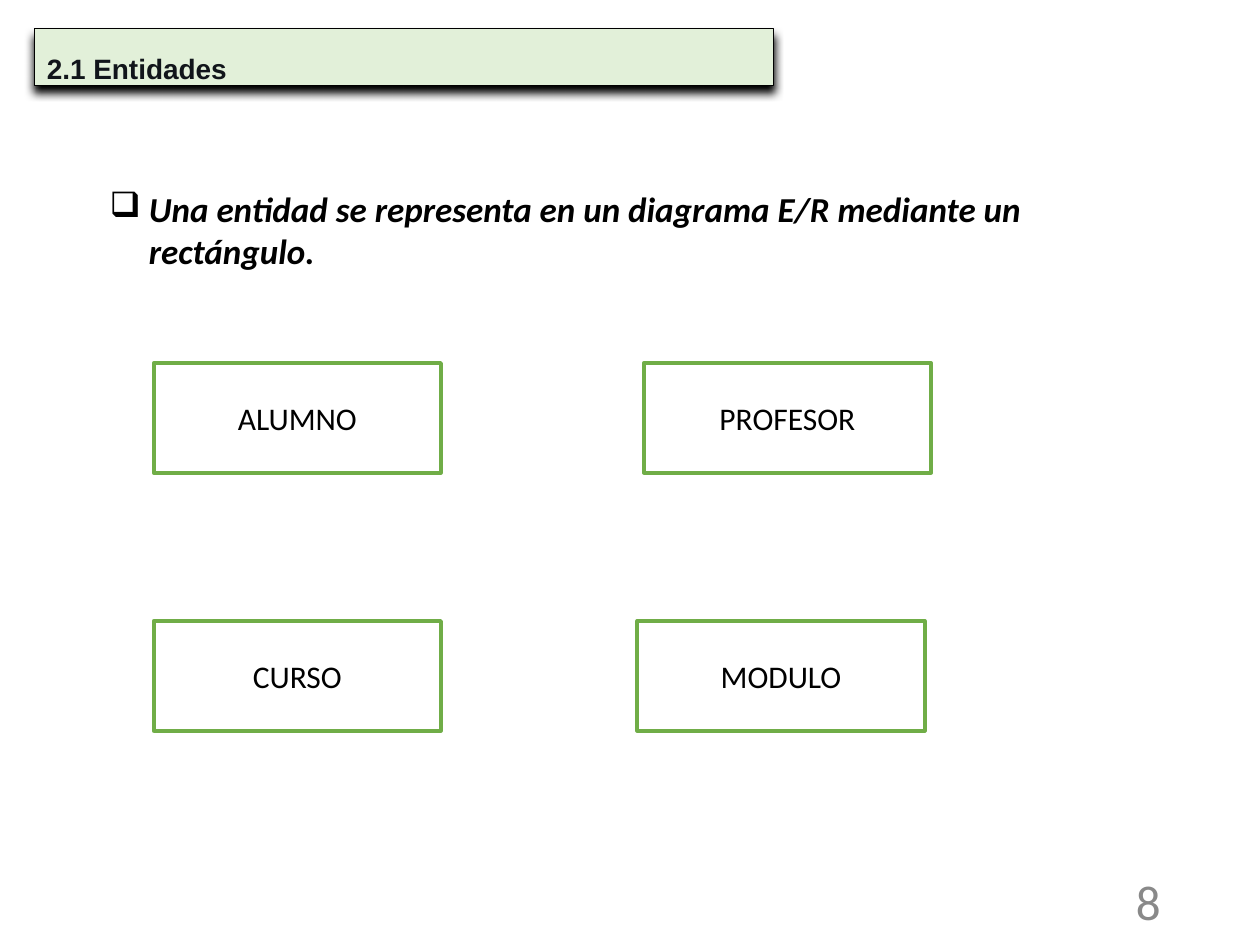
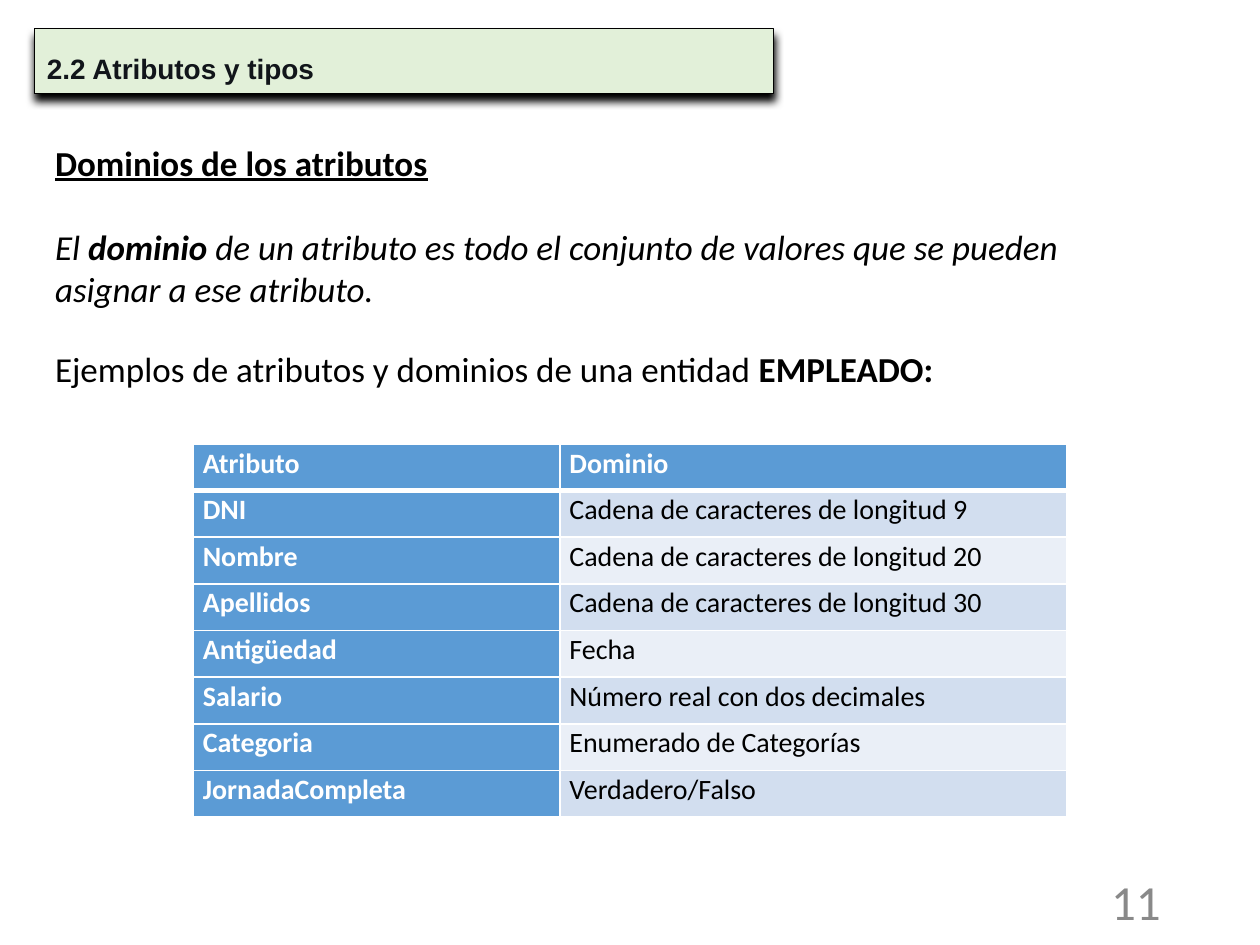
from lxml import etree
from pptx import Presentation
from pptx.dml.color import RGBColor
from pptx.enum.shapes import MSO_SHAPE
from pptx.enum.text import MSO_ANCHOR, MSO_AUTO_SIZE, PP_ALIGN
from pptx.oxml.ns import qn
from pptx.util import Cm, Pt

RECT = MSO_SHAPE.RECTANGLE
TOP, MIDDLE = MSO_ANCHOR.TOP, MSO_ANCHOR.MIDDLE
NO_FIT = MSO_AUTO_SIZE.NONE
LEFT, CENTER, RIGHT, JUSTIFY = (
    PP_ALIGN.LEFT, PP_ALIGN.CENTER, PP_ALIGN.RIGHT, PP_ALIGN.JUSTIFY)

BLACK = RGBColor(0x00, 0x00, 0x00)
WHITE = RGBColor(0xFF, 0xFF, 0xFF)
INK = RGBColor(0x11, 0x15, 0x1A)
GRAY = RGBColor(0x89, 0x89, 0x89)
PALE_GREEN = RGBColor(0xE2, 0xF0, 0xD9)
GREEN = RGBColor(0x70, 0xAD, 0x47)
BLUE = RGBColor(0x5B, 0x9B, 0xD5)
BANDS = [RGBColor(0xD2, 0xDE, 0xEF), RGBColor(0xEA, 0xEF, 0xF7)]

TITLE_ONLY = 5

ENTITIES = [
    ("ALUMNO", 3.1, 7.32),
    ("PROFESOR", 12.98, 7.32),
    ("CURSO", 3.1, 12.52),
    ("MODULO", 12.85, 12.52),
]
DOMAINS = [
    ("Atributo", "Dominio"),
    ("DNI", "Cadena de caracteres de longitud 9"),
    ("Nombre", "Cadena de caracteres de longitud 20"),
    ("Apellidos", "Cadena de caracteres de longitud 30"),
    ("Antigüedad", "Fecha"),
    ("Salario", "Número real con dos decimales"),
    ("Categoria", "Enumerado de Categorías"),
    ("JornadaCompleta", "Verdadero/Falso"),
]


def add_run(p, text, size=20, font="Calibri", color=BLACK, bold=False,
            italic=False, underline=False):
    r = p.add_run()
    r.text = text
    r.font.size = Pt(size)
    r.font.name = font
    r.font.color.rgb = color
    r.font.bold = bold
    r.font.italic = italic
    r.font.underline = underline


def add_box(slide, x, y, w, h, anchor=TOP):
    tf = slide.shapes.add_textbox(Cm(x), Cm(y), Cm(w), Cm(h)).text_frame
    tf.word_wrap = True
    tf.vertical_anchor = anchor
    return tf


def add_shadow(sp):
    effects = etree.SubElement(sp._element.spPr, qn("a:effectLst"))
    shadow = etree.SubElement(effects, qn("a:outerShdw"), blurRad=str(Pt(5)),
                              dist=str(Pt(4)), dir="5400000", rotWithShape="0")
    etree.SubElement(shadow, qn("a:srgbClr"), val=str(BLACK))


def add_bullet(p, char, indent):
    pPr = p._p.get_or_add_pPr()
    pPr.set("marL", str(Cm(indent)))
    pPr.set("indent", str(-Cm(indent)))
    color = etree.SubElement(pPr, qn("a:buClr"))
    etree.SubElement(color, qn("a:srgbClr"), val=str(BLACK))
    etree.SubElement(pPr, qn("a:buChar"), char=char)


def add_titled_slide(prs, title, number, title_height):
    slide = prs.slides.add_slide(prs.slide_layouts[TITLE_ONLY])
    sp = slide.shapes.title
    sp.left, sp.top = Cm(0.69), Cm(0.58)
    sp.width, sp.height = Cm(14.91), Cm(title_height)
    sp.fill.solid()
    sp.fill.fore_color.rgb = PALE_GREEN
    sp.line.color.rgb = BLACK
    sp.line.width = Pt(0.75)
    add_shadow(sp)
    tf = sp.text_frame
    tf.auto_size = NO_FIT
    tf.vertical_anchor = TOP
    p = tf.paragraphs[0]
    p.alignment = LEFT
    p.line_spacing = 1.5
    add_run(p, title, size=16, font="Arial", color=INK, bold=True)

    p = add_box(slide, 17.93, 17.65, 5.72, 1.02, MIDDLE).paragraphs[0]
    p.alignment = RIGHT
    add_run(p, number, size=28, color=GRAY)
    return slide


def add_entity(slide, name, x, y):
    sp = slide.shapes.add_shape(RECT, Cm(x), Cm(y), Cm(5.79), Cm(2.21))
    sp.shadow.inherit = False
    sp.fill.solid()
    sp.fill.fore_color.rgb = WHITE
    sp.line.color.rgb = GREEN
    sp.line.width = Pt(2.25)
    sp.text_frame.vertical_anchor = MIDDLE
    p = sp.text_frame.paragraphs[0]
    p.alignment = CENTER
    add_run(p, name, size=18)


def set_borders(cell, top, bottom):
    tcPr = cell._tc.get_or_add_tcPr()
    for side, width in (("L", 1), ("R", 1), ("T", top), ("B", bottom)):
        ln = etree.SubElement(tcPr, qn(f"a:ln{side}"), w=str(Pt(width)))
        fill = etree.SubElement(ln, qn("a:solidFill"))
        etree.SubElement(fill, qn("a:srgbClr"), val=str(WHITE))


def add_domain_table(slide, rows, x, y, widths, row_height):
    table = slide.shapes.add_table(
        len(rows), len(widths), Cm(x), Cm(y), Cm(sum(widths)),
        Cm(row_height * len(rows))).table
    for column, width in zip(table.columns, widths):
        column.width = Cm(width)
    for i, row in enumerate(rows):
        table.rows[i].height = Cm(row_height)
        for j, text in enumerate(row):
            cell = table.cell(i, j)
            header = i == 0 or j == 0
            set_borders(cell, 3 if i == 1 else 1, 3 if i == 0 else 1)
            cell.fill.solid()
            cell.fill.fore_color.rgb = BLUE if header else BANDS[(i - 1) % 2]
            cell.margin_left = cell.margin_right = Cm(0.19)
            cell.margin_top = cell.margin_bottom = 0
            p = cell.text_frame.paragraphs[0]
            p.alignment = JUSTIFY
            p.line_spacing = 1.07
            add_run(p, text, size=16, color=WHITE if header else BLACK,
                    bold=header)


def build_entities(prs):
    slide = add_titled_slide(prs, "2.1 Entidades", "8", 1.14)
    p = add_box(slide, 1.96, 3.66, 22.02, 4.52).paragraphs[0]
    add_bullet(p, "❑", 0.79)
    add_run(p, "Una entidad se representa en un diagrama E/R mediante un "
            "rectángulo.", bold=True, italic=True)
    for name, x, y in ENTITIES:
        add_entity(slide, name, x, y)


def build_attributes(prs):
    slide = add_titled_slide(prs, "2.2 Atributos y tipos", "11", 1.3)
    tf = add_box(slide, 0.86, 2.72, 22.2, 4)
    add_run(tf.paragraphs[0], "Dominios de los atributos", bold=True,
            underline=True)
    p = tf.add_paragraph()
    p.space_before = Pt(24)
    add_run(p, "El ", italic=True)
    add_run(p, "dominio", bold=True, italic=True)
    add_run(p, " de un atributo es todo el conjunto de valores que se pueden "
            "asignar a ese atributo.", italic=True)

    add_domain_table(slide, DOMAINS, 3.9, 8.95, (7.39, 10.21), 0.94)

    p = add_box(slide, 0.86, 6.89, 18.36, 1.1).paragraphs[0]
    add_run(p, "Ejemplos de atributos y dominios de una entidad ")
    add_run(p, "EMPLEADO:", bold=True)


def main():
    prs = Presentation()
    prs.slide_width, prs.slide_height = Cm(25.4), Cm(19.05)
    build_entities(prs)
    build_attributes(prs)
    prs.save("out.pptx")


if __name__ == "__main__":
    main()
